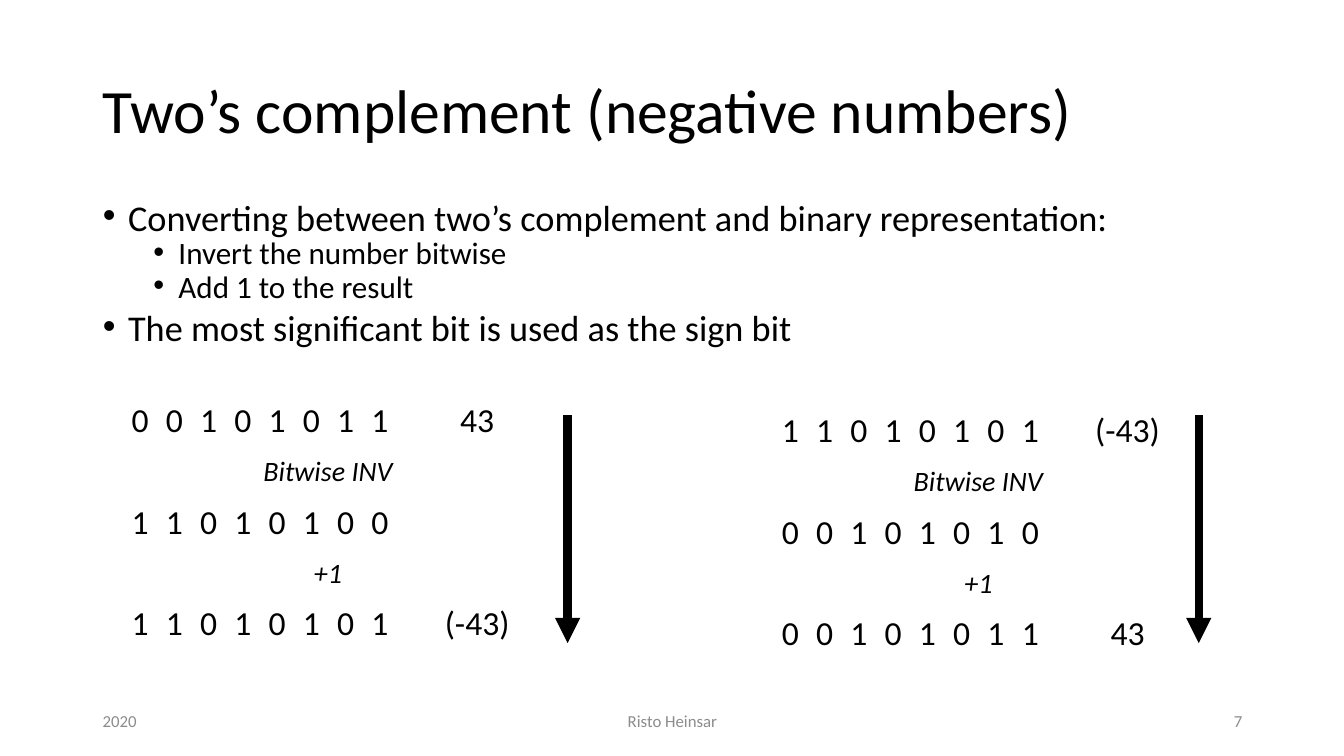
from pptx import Presentation
from pptx.dml.color import RGBColor
from pptx.enum.shapes import MSO_CONNECTOR as CONN
from pptx.enum.text import MSO_ANCHOR as ANCHOR, MSO_AUTO_SIZE as FIT, PP_ALIGN as ALIGN
from pptx.oxml.ns import qn
from pptx.util import Inches, Pt
from lxml.etree import SubElement

FONT, BLACK, GREY = "Calibri", "000000", "8C8C8C"


def rgb(value):
    """Turn a hex string into a colour."""
    return RGBColor.from_string(value)


def place(sp, x, y, w, h):
    """Move and size a shape, in inches."""
    sp.left, sp.top, sp.width, sp.height = map(Inches, (x, y, w, h))


def add_run(p, text, size, color=BLACK, italic=False):
    """Append one formatted run to a paragraph."""
    r = p.add_run()
    r.text = text
    f = r.font
    f.name, f.size, f.italic = FONT, Pt(size), italic
    f.color.rgb = rgb(color)


def set_frame(tf, anchor):
    """Wrap the text at a fixed size and anchor it."""
    tf.word_wrap = True
    tf.auto_size = FIT.NONE
    tf.vertical_anchor = anchor


def add_title(s, text, x, y, w, h):
    """Fill the title placeholder."""
    sp = s.shapes.title
    place(sp, x, y, w, h)
    set_frame(sp.text_frame, ANCHOR.MIDDLE)
    p = sp.text_frame.paragraphs[0]
    p.alignment, p.line_spacing = ALIGN.LEFT, 0.9
    add_run(p, text, 44)


def add_bullets(s, items, x, y, w, h):
    """Fill the body placeholder with (level, text) bullets."""
    sp = s.placeholders[1]
    place(sp, x, y, w, h)
    tf = sp.text_frame
    set_frame(tf, ANCHOR.TOP)
    for i, (level, text) in enumerate(items):
        p = tf.add_paragraph() if i else tf.paragraphs[0]
        p.level, p.line_spacing = level, 0.7
        p.space_before = Pt(5 if level else 10)
        pPr = p._p.get_or_add_pPr()
        pPr.set("marL", str(Inches(0.25 + 0.5 * level)))
        pPr.set("indent", str(Inches(-0.25)))
        SubElement(pPr, qn("a:buFont")).set("typeface", "Arial")
        SubElement(pPr, qn("a:buChar")).set("char", "•")
        add_run(p, text, 22.2 if level else 25.9)


def fill_cell(cell, text, size=24, italic=False):
    """Centre text in a table cell."""
    cell.vertical_anchor = ANCHOR.MIDDLE
    p = cell.text_frame.paragraphs[0]
    p.alignment = ALIGN.CENTER
    add_run(p, text, size, italic=italic)


def add_conversion(s, rows, x, y):
    """Draw the steps of one conversion: bits with their value, or an operation."""
    widths = [0.34] * 8 + [0.24, 1.11]
    row_h = 0.504
    frame = s.shapes.add_table(len(rows), len(widths), Inches(x), Inches(y),
                               Inches(sum(widths)), Inches(row_h * len(rows)))
    table = frame.table
    table.first_row = table.horz_banding = False
    for col, w in zip(table.columns, widths):
        col.width = Inches(w)
    for row in table.rows:
        row.height = Inches(row_h)
    for cell in table.iter_cells():
        cell.fill.background()
        cell.margin_left = cell.margin_right = cell.margin_top = Inches(0.01)
        cell.margin_bottom = 0
    for i, (text, value) in enumerate(rows):
        if value is None:
            table.cell(i, 0).merge(table.cell(i, len(widths) - 1))
            fill_cell(table.cell(i, 0), text, 20, True)
            continue
        for j, bit in enumerate(text):
            fill_cell(table.cell(i, j), bit)
        if value:
            fill_cell(table.cell(i, len(widths) - 1), value)


def add_arrow(s, x, top, bottom):
    """Draw a thick downward arrow."""
    line = s.shapes.add_connector(CONN.STRAIGHT, Inches(x), Inches(top),
                                  Inches(x), Inches(bottom))
    line.line.color.rgb = rgb(BLACK)
    line.line.width = Pt(6)
    SubElement(line.line._get_or_add_ln(), qn("a:tailEnd")).set("type", "triangle")
    SubElement(line._element.spPr, qn("a:effectLst"))


def add_footer(s, x, y, w, h):
    """Place year, author and slide number along the bottom."""
    parts = [("2020", 0, 3, ALIGN.LEFT),
             ("Risto Heinsar", 3.5, 4.5, ALIGN.CENTER),
             ("7", w - 3, 3, ALIGN.RIGHT)]
    for text, dx, width, align in parts:
        sp = s.shapes.add_textbox(Inches(x + dx), Inches(y), Inches(width), Inches(h))
        set_frame(sp.text_frame, ANCHOR.MIDDLE)
        p = sp.text_frame.paragraphs[0]
        p.alignment = align
        add_run(p, text, 12, GREY)


def main():
    """Build the slide."""
    prs = Presentation()
    prs.slide_width, prs.slide_height = Inches(13.33), Inches(7.5)
    s = prs.slides.add_slide(prs.slide_layouts[1])
    left, width = 0.92, 11.5
    add_title(s, "Two’s complement (negative numbers)", left, 0.4, width, 1.45)
    add_bullets(s, [
        (0, "Converting between two’s complement and binary representation:"),
        (1, "Invert the number bitwise"),
        (1, "Add 1 to the result"),
        (0, "The most significant bit is used as the sign bit"),
    ], left, 2, width, 1.64)
    invert, add_one = ("Bitwise INV", None), ("+1", None)
    plus, minus = ("00101011", "43"), ("11010101", "(-43)")
    add_conversion(s, [plus, invert, ("11010100", ""), add_one, minus], 1.22, 3.92)
    add_conversion(s, [minus, invert, ("00101010", ""), add_one, plus], 7.67, 4.02)
    for x in (5.63, 11.89):
        add_arrow(s, x, 4.12, 6.38)
    add_footer(s, left, 6.95, width, 0.4)
    prs.save("out.pptx")


if __name__ == "__main__":
    main()
